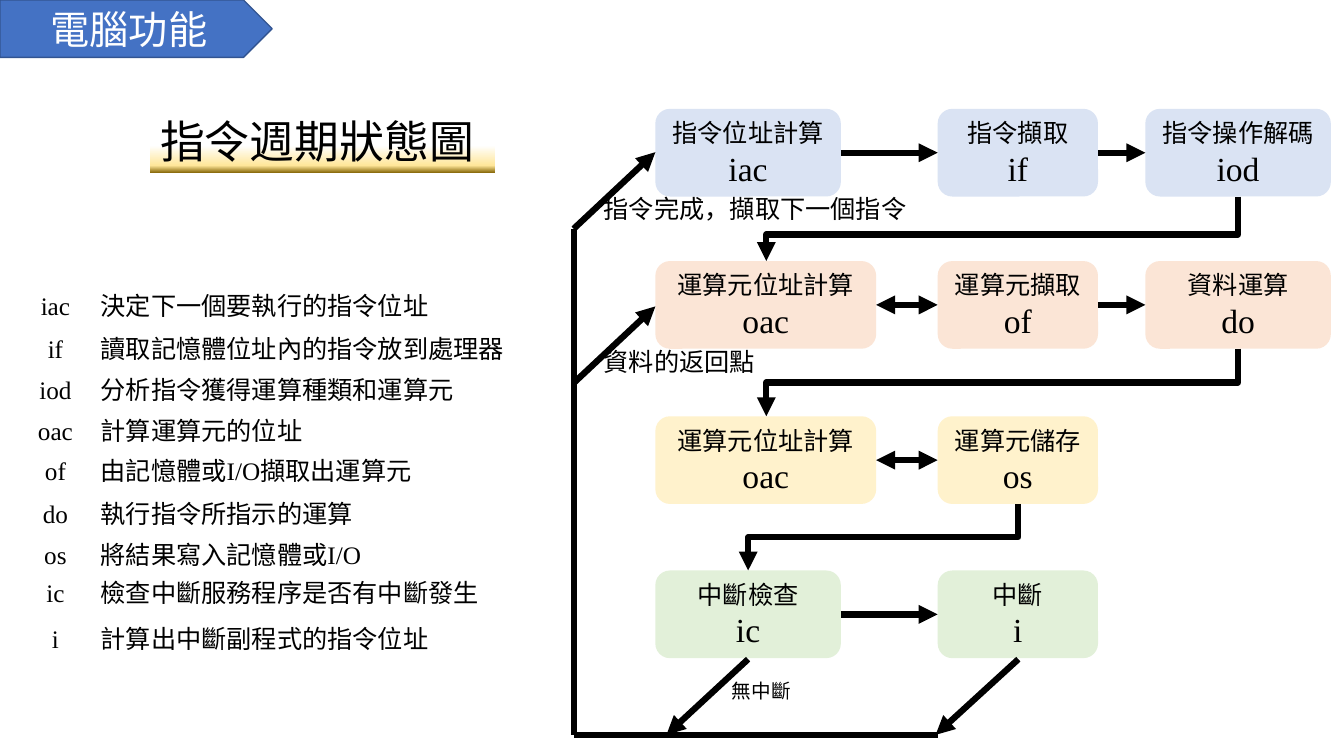
from copy import deepcopy
from dataclasses import dataclass

from lxml.etree import SubElement
from pptx import Presentation
from pptx.dml.color import RGBColor
from pptx.enum.shapes import MSO_CONNECTOR, MSO_SHAPE
from pptx.enum.text import MSO_ANCHOR, PP_ALIGN
from pptx.oxml.ns import qn
from pptx.shapes.autoshape import Shape
from pptx.shapes.connector import Connector
from pptx.shapes.shapetree import SlideShapes
from pptx.text.text import TextFrame
from pptx.util import Inches, Pt

BLACK = RGBColor(0x00, 0x00, 0x00)
WHITE = RGBColor(0xFF, 0xFF, 0xFF)
BANNER_BLUE = RGBColor(0x44, 0x72, 0xC4)
BANNER_EDGE = RGBColor(0x32, 0x54, 0x91)
GOLD = RGBColor(0xFF, 0xE6, 0x99)
DARK_GOLD = RGBColor(0x80, 0x60, 0x00)
INSTRUCTION_BLUE = RGBColor(0xDA, 0xE3, 0xF3)
OPERAND_ORANGE = RGBColor(0xFB, 0xE5, 0xD6)
STORE_YELLOW = RGBColor(0xFF, 0xF2, 0xCC)
INTERRUPT_GREEN = RGBColor(0xE2, 0xF0, 0xD9)

CJK = "Noto Sans CJK SC"
SERIF = "Times New Roman"
STATE_HEIGHT = 0.87
ADDRESS_X, FETCH_X, DECODE_X = 6.5, 9.3, 11.36
FETCH_WIDTH, NORMAL_WIDTH, WIDE_WIDTH = 1.59, 1.84, 2.19
RETURN_X, RETURN_Y = 5.69, 7.29


@dataclass(frozen=True)
class State:
    name: str
    code: str
    left: float
    width: float


@dataclass(frozen=True)
class Stage:
    top: float
    color: RGBColor
    states: tuple[State, ...]
    two_way: bool = False

    @property
    def middle(self) -> float:
        return self.top + STATE_HEIGHT / 2


@dataclass(frozen=True)
class Turn:
    start_x: float
    start_y: float
    end_x: float
    end_y: float
    bend: float = 0.5


@dataclass(frozen=True)
class Term:
    code: str
    meaning: str
    top: float


@dataclass(frozen=True)
class Label:
    text: str
    left: float
    top: float
    width: float
    height: float = 0.4
    size: float = 18
    font: str = SERIF
    align: PP_ALIGN = PP_ALIGN.LEFT
    wrap: bool = True


STAGES = (
    Stage(1.08, INSTRUCTION_BLUE, (
        State("指令位址計算", "iac", ADDRESS_X, NORMAL_WIDTH),
        State("指令擷取", "if", FETCH_X, FETCH_WIDTH),
        State("指令操作解碼", "iod", DECODE_X, NORMAL_WIDTH))),
    Stage(2.59, OPERAND_ORANGE, (
        State("運算元位址計算", "oac", ADDRESS_X, WIDE_WIDTH),
        State("運算元擷取", "of", FETCH_X, FETCH_WIDTH),
        State("資料運算", "do", DECODE_X, NORMAL_WIDTH)), two_way=True),
    Stage(4.13, STORE_YELLOW, (
        State("運算元位址計算", "oac", ADDRESS_X, WIDE_WIDTH),
        State("運算元儲存", "os", FETCH_X, FETCH_WIDTH)), two_way=True),
    Stage(5.66, INTERRUPT_GREEN, (
        State("中斷檢查", "ic", ADDRESS_X, NORMAL_WIDTH),
        State("中斷", "i", FETCH_X, FETCH_WIDTH))),
)
TURNS = (
    Turn(12.28, 1.95, 7.6, 2.59, 0.589),
    Turn(12.28, 3.46, 7.6, 4.13),
    Turn(10.1, 5.0, 7.42, 5.66),
)
RETURN_ARROWS = (
    (RETURN_X, 2.27, ADDRESS_X, 1.51),
    (RETURN_X, 3.8, ADDRESS_X, 3.04),
    (7.42, 6.54, 6.61, RETURN_Y),
    (10.1, 6.54, 9.28, RETURN_Y),
)
RETURN_LINES = (
    (RETURN_X, 2.27, RETURN_X, RETURN_Y),
    (RETURN_X, RETURN_Y, FETCH_X, RETURN_Y),
)
FLOW_LABELS = (
    Label("指令完成，擷取下一個指令", 5.89, 1.87, 4.24, font=CJK),
    Label("資料的返回點", 5.89, 3.39, 1.86, font=CJK),
    Label("無中斷", 7.16, 6.69, 0.79, 0.34, 14, "Calibri", wrap=False),
)
TERMS = (
    Term("iac", "決定下一個要執行的指令位址", 2.83),
    Term("if", "讀取記憶體位址內的指令放到處理器", 3.26),
    Term("iod", "分析指令獲得運算種類和運算元", 3.66),
    Term("oac", "計算運算元的位址", 4.07),
    Term("of", "由記憶體或I/O擷取出運算元", 4.47),
    Term("do", "執行指令所指示的運算", 4.89),
    Term("os", "將結果寫入記憶體或I/O", 5.3),
    Term("ic", "檢查中斷服務程序是否有中斷發生", 5.68),
    Term("i", "計算出中斷副程式的指令位址", 6.13),
)


def write(frame: TextFrame, lines: tuple[tuple[str, float], ...], font: str,
          color: RGBColor = BLACK, align: PP_ALIGN = PP_ALIGN.CENTER) -> None:
    for index, (text, size) in enumerate(lines):
        paragraph = frame.add_paragraph() if index else frame.paragraphs[0]
        paragraph.text = text
        paragraph.alignment = align
        paragraph.font.size = Pt(size)
        paragraph.font.name = font
        paragraph.font.color.rgb = color
        defaults = paragraph._p.find(f".//{qn('a:defRPr')}")
        SubElement(defaults, qn("a:ea"), typeface=CJK)


def add_block(shapes: SlideShapes, preset: MSO_SHAPE, left: float, top: float,
              width: float, height: float) -> Shape:
    block = shapes.add_shape(preset, Inches(left), Inches(top), Inches(width), Inches(height))
    block.shadow.inherit = False
    block.line.fill.background()
    block.text_frame.word_wrap = True
    block.text_frame.vertical_anchor = MSO_ANCHOR.MIDDLE
    return block


def add_banner(shapes: SlideShapes) -> None:
    banner = add_block(shapes, MSO_SHAPE.PENTAGON, 0, 0, 2.7, 0.57)
    banner.fill.solid()
    banner.fill.fore_color.rgb = BANNER_BLUE
    banner.line.color.rgb = BANNER_EDGE
    banner.line.width = Pt(1)
    write(banner.text_frame, (("電腦功能", 28),), CJK, WHITE)


def add_title(shapes: SlideShapes) -> None:
    title = add_block(shapes, MSO_SHAPE.RECTANGLE, 1.49, 1.08, 3.42, 0.64)
    title.fill.gradient()
    title.fill.gradient_angle = 90
    stop_list = title._element.spPr.find(f".//{qn('a:gsLst')}")
    stop_list.append(deepcopy(stop_list[-1]))
    for stop, position, color in zip(title.fill.gradient_stops, (0, 0.12, 0.43),
                                     (DARK_GOLD, GOLD, WHITE)):
        stop.position = position
        stop.color.rgb = color
    title.text_frame.vertical_anchor = MSO_ANCHOR.TOP
    write(title.text_frame, (("指令週期狀態圖", 32),), CJK, align=PP_ALIGN.LEFT)


def add_label(shapes: SlideShapes, label: Label) -> None:
    box = shapes.add_textbox(Inches(label.left), Inches(label.top),
                             Inches(label.width), Inches(label.height))
    box.text_frame.word_wrap = label.wrap
    write(box.text_frame, ((label.text, label.size),), label.font, align=label.align)


def add_line(shapes: SlideShapes, points: tuple[float, float, float, float], head: bool = False,
             tail: bool = True, kind: MSO_CONNECTOR = MSO_CONNECTOR.STRAIGHT) -> Connector:
    line = shapes.add_connector(kind, *map(Inches, points))
    line.line.color.rgb = BLACK
    line.line.width = Pt(4.5)
    outline = line.line._get_or_add_ln()
    for tag, wanted in (("a:headEnd", head), ("a:tailEnd", tail)):
        if wanted:
            SubElement(outline, qn(tag), type="triangle")
    SubElement(line._element.spPr, qn("a:effectLst"))
    return line


def add_turn(shapes: SlideShapes, turn: Turn) -> None:
    center_x, center_y = (turn.start_x + turn.end_x) / 2, (turn.start_y + turn.end_y) / 2
    half_drop, half_run = (turn.end_y - turn.start_y) / 2, (turn.start_x - turn.end_x) / 2
    elbow = add_line(shapes, (center_x - half_drop, center_y - half_run,
                              center_x + half_drop, center_y + half_run),
                     kind=MSO_CONNECTOR.ELBOW)
    properties = elbow._element.spPr
    properties.find(qn("a:xfrm")).set("rot", str(90 * 60000))
    guides = properties.find(f".//{qn('a:avLst')}")
    SubElement(guides, qn("a:gd"), name="adj1", fmla=f"val {round(turn.bend * 100000)}")


def add_stage(shapes: SlideShapes, stage: Stage) -> None:
    for state in stage.states:
        block = add_block(shapes, MSO_SHAPE.ROUNDED_RECTANGLE, state.left, stage.top,
                          state.width, STATE_HEIGHT)
        block.fill.solid()
        block.fill.fore_color.rgb = stage.color
        write(block.text_frame, ((state.name, 18), (state.code, 24)), SERIF)
    for index, (source, target) in enumerate(zip(stage.states, stage.states[1:])):
        add_line(shapes, (source.left + source.width, stage.middle, target.left, stage.middle),
                 head=stage.two_way and index == 0)


def main() -> None:
    deck = Presentation()
    deck.slide_width, deck.slide_height = Inches(13.33), Inches(7.5)
    shapes = deck.slides.add_slide(deck.slide_layouts[6]).shapes
    add_title(shapes)
    add_banner(shapes)
    for stage in STAGES:
        add_stage(shapes, stage)
    for turn in TURNS:
        add_turn(shapes, turn)
    for points in RETURN_ARROWS:
        add_line(shapes, points)
    for points in RETURN_LINES:
        add_line(shapes, points, tail=False)
    for label in FLOW_LABELS:
        add_label(shapes, label)
    for term in TERMS:
        add_label(shapes, Label(term.code, 0.26, term.top, 0.58, align=PP_ALIGN.CENTER))
        add_label(shapes, Label(term.meaning, 0.9, term.top, 4.3))
    deck.save("out.pptx")


if __name__ == "__main__":
    main()
